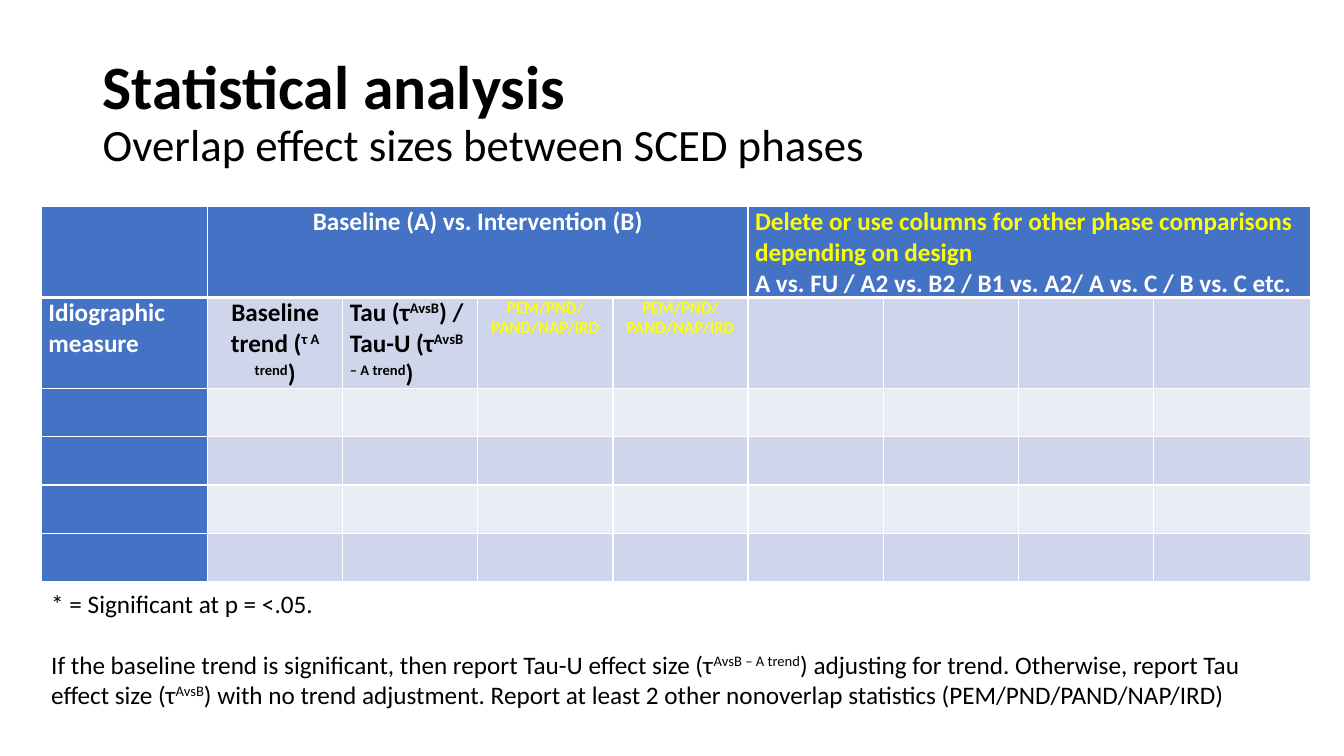
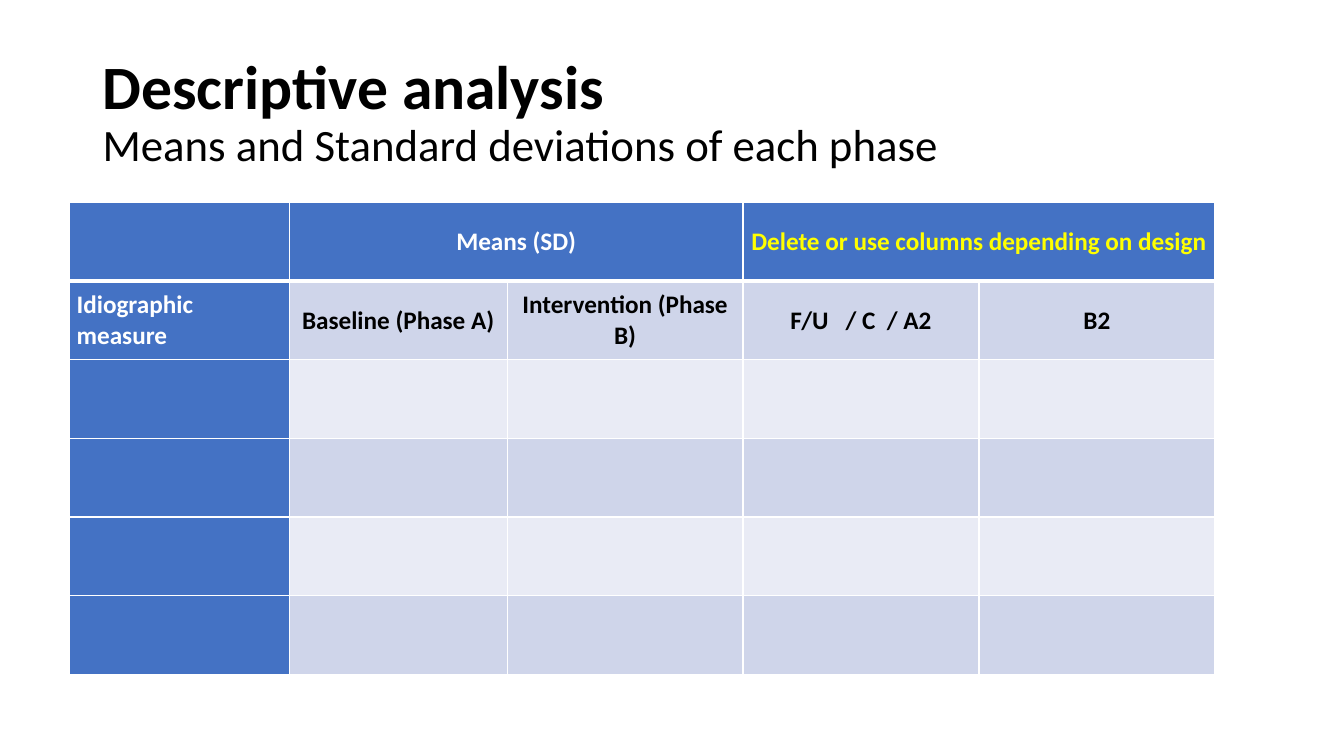
from pptx import Presentation
from pptx.dml.color import RGBColor
from pptx.enum.text import MSO_ANCHOR as Anchor, PP_ALIGN as Align
from pptx.oxml.ns import qn
from pptx.util import Inches, Pt
from lxml.etree import SubElement

FONT = "Calibri"
WHITE, BLACK, YELLOW = "FFFFFF", "000000", "FFFF00"
BLUE, BAND_DARK, BAND_LIGHT = "4472C4", "CFD5EA", "E9EBF5"


def rgb(color):
    return RGBColor.from_string(color)


def add_run(p, text, size=18, color=BLACK, bold=False, raised=False):
    r = p.add_run()
    r.text = text
    r.font.name, r.font.size, r.font.bold = FONT, Pt(size), bold
    r.font.color.rgb = rgb(color)
    if raised:
        r.font._element.set("baseline", "30000")


def add_marked(p, text, **style):
    """Add text whose parts between ^ marks are superscript."""
    for i, part in enumerate(text.split("^")):
        if part:
            add_run(p, part, raised=i % 2 == 1, **style)


def add_box(slide, left, top, width, height):
    tf = slide.shapes.add_textbox(
        Inches(left), Inches(top), Inches(width), Inches(height)).text_frame
    tf.word_wrap = True
    return tf


def add_title(slide, heading, subtitle):
    tf = add_box(slide, 0.92, 0.4, 11.5, 1.45)
    tf.vertical_anchor = Anchor.MIDDLE
    p = tf.paragraphs[0]
    p.line_spacing = 0.9
    add_run(p, heading, size=44, bold=True)
    p.add_line_break()
    add_run(p, subtitle, size=32)


def add_note(slide, text, left, top, width, height):
    p = add_box(slide, left, top, width, height).paragraphs[0]
    add_marked(p, text)


def style_cell(cell, row, col):
    # Borders come before the fill in the cell properties
    tcPr = cell._tc.get_or_add_tcPr()
    for side in "LRTB":
        thick = (row, side) in ((0, "B"), (1, "T"))
        ln = SubElement(tcPr, qn("a:ln" + side), w=str(Pt(3 if thick else 1)))
        fill = SubElement(ln, qn("a:solidFill"))
        SubElement(fill, qn("a:srgbClr"), val=WHITE)
    cell.fill.solid()
    band = BAND_DARK if row % 2 else BAND_LIGHT
    cell.fill.fore_color.rgb = rgb(BLUE if row == 0 or col == 0 else band)


def fill_cell(cell, lines, anchor, align=Align.CENTER, size=18, after=6):
    """Write (text, colour) lines, one paragraph each."""
    cell.margin_left = cell.margin_right = Inches(0.07)
    cell.margin_top = cell.margin_bottom = 0
    cell.vertical_anchor = anchor
    tf = cell.text_frame
    for i, (text, color) in enumerate(lines):
        p = tf.add_paragraph() if i else tf.paragraphs[0]
        p.alignment, p.space_after = align, Pt(after)
        add_marked(p, text, size=size, color=color, bold=True)


def add_grid(slide, left, top, cols, rows, spans, texts, anchor):
    """spans: (first, last) header columns; texts: {(row, col): cell options}."""
    frame = slide.shapes.add_table(
        len(rows), len(cols), Inches(left), Inches(top),
        Inches(sum(cols)), Inches(sum(rows)))
    table = frame.table
    for column, width in zip(table.columns, cols):
        column.width = Inches(width)
    for row, height in zip(table.rows, rows):
        row.height = Inches(height)
    for r in range(len(rows)):
        for c in range(len(cols)):
            style_cell(table.cell(r, c), r, c)
    for first, last in spans:
        table.cell(0, first).merge(table.cell(0, last))
    for (r, c), options in texts.items():
        fill_cell(table.cell(r, c), anchor=anchor, **options)


MEASURE = dict(lines=[("Idiographic measure", WHITE)], align=Align.LEFT)


def statistical_slide(slide):
    add_title(slide, "Statistical analysis",
              "Overlap effect sizes between SCED phases")
    # Effect size table
    overlap = dict(lines=[("PEM/PND/PAND/NAP/IRD", YELLOW)], size=12)
    texts = {
        (0, 1): dict(lines=[("Baseline (A) vs. Intervention (B)", WHITE)]),
        (0, 5): dict(lines=[
            ("Delete or use columns for other phase comparisons "
             "depending on design", YELLOW),
            ("A vs. FU / A2 vs. B2 / B1 vs. A2/ A vs. C / B vs. C etc.", WHITE),
        ], align=Align.LEFT, after=0),
        (1, 0): MEASURE,
        (1, 1): dict(lines=[("Baseline trend (^τ A trend^)", BLACK)]),
        (1, 2): dict(lines=[("Tau (τ^AvsB^) / Tau-U (τ^AvsB – A trend^)", BLACK)],
                     align=Align.LEFT),
        (1, 3): overlap,
        (1, 4): overlap,
    }
    add_grid(slide, 0.41, 2.05, [1.65] + [1.34] * 7 + [1.56],
             [0.84] * 2 + [0.48] * 4, [(1, 4), (5, 8)], texts, Anchor.TOP)
    # Notes under the table
    add_note(slide, "* = Significant at p = <.05.", 0.41, 5.79, 2.89, 0.4)
    add_note(slide,
             "If the baseline trend is significant, then report Tau-U effect "
             "size (τ^AvsB – A trend^) adjusting for trend. Otherwise, report "
             "Tau effect size (τ^AvsB^) with no trend adjustment. Report at "
             "least 2 other nonoverlap statistics (PEM/PND/PAND/NAP/IRD)",
             0.41, 6.39, 12.37, 0.71)


def descriptive_slide(slide):
    add_title(slide, "Descriptive analysis",
              "Means and Standard deviations of each phase")
    # Means table
    texts = {
        (0, 1): dict(lines=[("Means (SD)", WHITE)]),
        (0, 3): dict(lines=[("Delete or use columns depending on design", YELLOW)]),
        (1, 0): MEASURE,
    }
    phases = ["Baseline (Phase A)", "Intervention (Phase B)",
              "F/U   / C  / A2", "B2"]
    for col, phase in enumerate(phases, start=1):
        texts[1, col] = dict(lines=[(phase, BLACK)])
    add_grid(slide, 0.69, 2.01, [2.18, 2.16] + [2.34] * 3, [0.78] * 6,
             [(1, 2), (3, 4)], texts, Anchor.MIDDLE)


prs = Presentation()
prs.slide_width, prs.slide_height = Inches(13.33), Inches(7.5)
for build in (statistical_slide, descriptive_slide):
    build(prs.slides.add_slide(prs.slide_layouts[6]))
prs.save("out.pptx")
